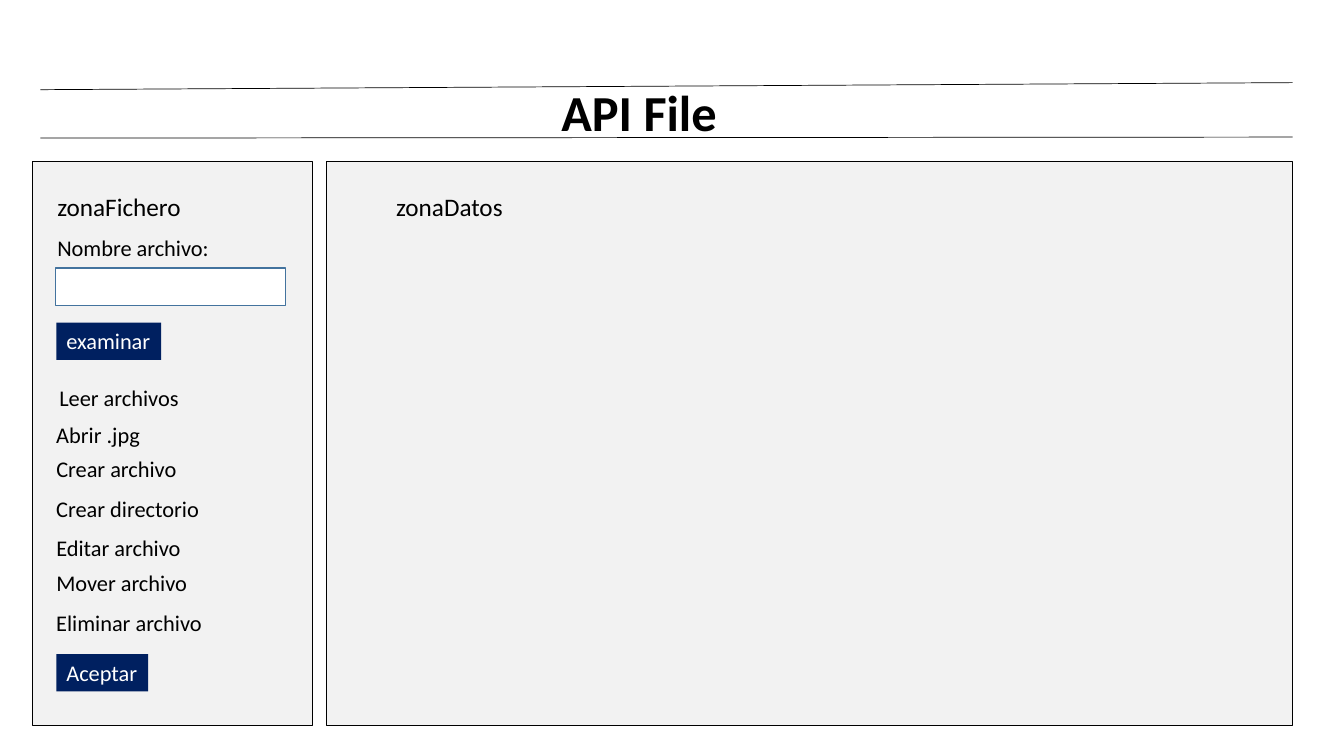
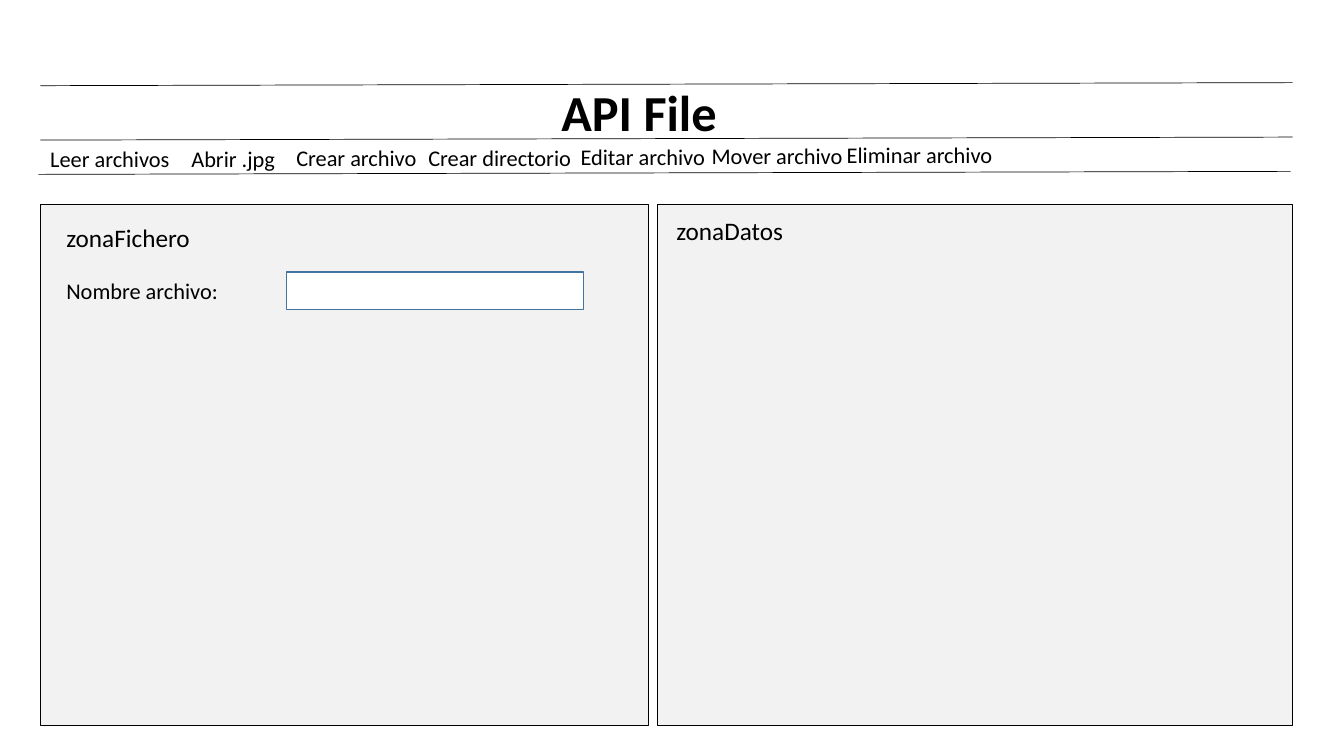
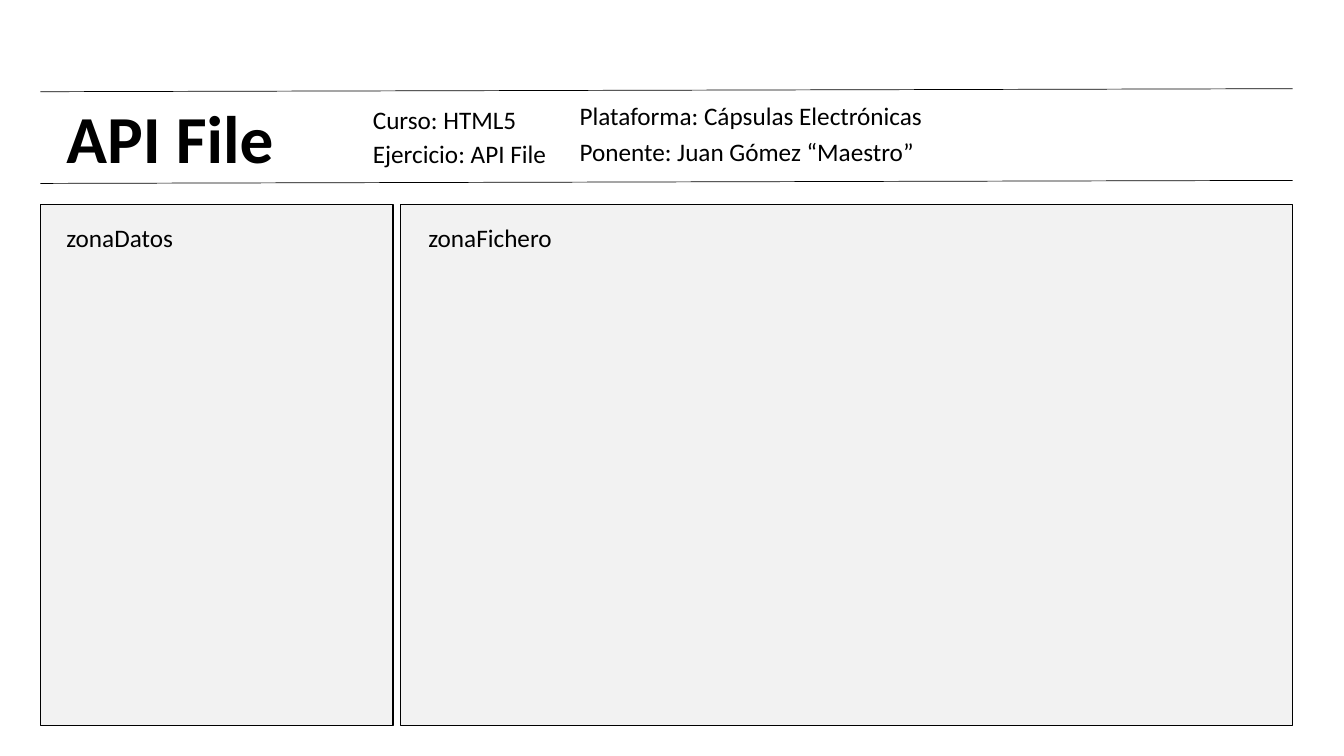
import pptx
import pptx.util
import pptx.dml.color
import pptx.enum.shapes
import pptx.enum.text
import pptx.oxml
from dataclasses import dataclass


@dataclass(frozen=True)
class Theme:
    """Colours, font and type sizes shared by all slides."""
    font: str = "Calibri"
    ink: str = "000000"
    panel: str = "F2F2F2"
    white: str = "FFFFFF"
    button: str = "002060"
    field_line: str = "43739E"
    title: int = 36
    big_title: int = 48
    zone: int = 18
    label: int = 16
    border: float = 1
    rule: float = 0.5


T = Theme()
Inches = pptx.util.Inches
LEFT, RIGHT, BOTTOM = 0.4, 12.82, 7.2
HEIGHTS = {T.label: 0.37, T.zone: 0.4, T.title: 0.71, T.big_title: 0.91}

TITLE = "API File"
NAME_LABEL = "Nombre archivo:"
ZONES = {"zonaFichero": 1.44, "zonaDatos": 1.27}
ACTIONS = {
    "Leer archivos": 1.4,
    "Abrir .jpg": 1.04,
    "Crear archivo": 1.41,
    "Crear directorio": 1.64,
    "Editar archivo": 1.45,
    "Mover archivo": 1.52,
    "Eliminar archivo": 1.66,
}

# Rules: x start, y start, y end.  Panels: left, top, right.
# Titles: left, top, width, size.  Zones: name, left, top.
# Actions: left, top for each entry of ACTIONS, in order.
# Labels: left, top of the file name label.  Fields: left, top, width.
# Buttons: text, left, top, width.  Credits: text, left, top, width, wrap.
SLIDES = [
    {
        "rules": [(LEFT, 0.89, 0.82), (LEFT, 1.37, 1.36)],
        "panels": [(0.32, 1.6, 3.1), (3.24, 1.6, RIGHT)],
        "titles": [(5.47, 0.76, 1.76, T.title)],
        "zones": [("zonaDatos", 3.83, 1.85), ("zonaFichero", 0.47, 1.85)],
        "actions": [(0.49, 3.76), (0.46, 4.13), (0.46, 4.47), (0.46, 4.86),
                    (0.46, 5.25), (0.46, 5.6), (0.46, 5.99)],
        "labels": [(0.47, 2.27)],
        "fields": [(0.55, 2.66, 2.28)],
        "buttons": [("examinar", 0.56, 3.2, 1.04),
                    ("Aceptar", 0.56, 6.49, 0.91)],
    },
    {
        "rules": [(LEFT, 0.85, 0.82), (LEFT, 1.39, 1.36), (0.38, 1.73, 1.7)],
        "panels": [(LEFT, 2.03, 6.43), (6.52, 2.03, RIGHT)],
        "titles": [(5.47, 0.76, 1.76, T.title)],
        "zones": [("zonaDatos", 6.61, 2.09), ("zonaFichero", 0.56, 2.16)],
        "actions": [(0.4, 1.39), (1.8, 1.39), (2.84, 1.38), (4.15, 1.38),
                    (5.66, 1.37), (6.96, 1.36), (8.3, 1.35)],
        "labels": [(0.56, 2.7)],
        "fields": [(2.84, 2.7, 2.95)],
    },
    {
        "rules": [(LEFT, 0.91, 0.88), (LEFT, 1.82, 1.79)],
        "panels": [(LEFT, 2.03, 3.9), (3.97, 2.03, RIGHT)],
        "titles": [(0.56, 0.91, 2.28, T.big_title)],
        "zones": [("zonaFichero", 4.15, 2.16), ("zonaDatos", 0.56, 2.16)],
        "credits": [
            ("Curso: HTML5", 3.6, 0.99, 1.64, False),
            ("Plataforma: Cápsulas Electrónicas", 5.65, 0.95, 3.72, True),
            ("Ponente: Juan Gómez “Maestro”", 5.65, 1.3, 5.75, True),
            ("Ejercicio: API File", 3.6, 1.32, 2.78, True),
        ],
    },
]


def rgb(color):
    """Turn a hex string into a colour object."""
    return pptx.dml.color.RGBColor.from_string(color)


def add_rule(slide, left, y_start, y_end):
    """Draw a thin line across the slide."""
    c = slide.shapes.add_connector(
        pptx.enum.shapes.MSO_CONNECTOR.STRAIGHT, Inches(left), Inches(y_start),
        Inches(left + RIGHT - LEFT), Inches(y_end))
    c.line.color.rgb = rgb(T.ink)
    c.line.width = pptx.util.Pt(T.rule)
    c._element.spPr.append(pptx.oxml.parse_xml(
        '<a:effectLst xmlns:a='
        '"http://schemas.openxmlformats.org/drawingml/2006/main"/>'))


def add_box(slide, left, top, width, height, fill, line=None):
    """Draw a filled rectangle, outlined if a line colour is given."""
    sp = slide.shapes.add_shape(
        pptx.enum.shapes.MSO_SHAPE.RECTANGLE,
        Inches(left), Inches(top), Inches(width), Inches(height))
    sp.shadow.inherit = False
    sp.fill.solid()
    sp.fill.fore_color.rgb = rgb(fill)
    if line:
        sp.line.color.rgb = rgb(line)
        sp.line.width = pptx.util.Pt(T.border)
    else:
        sp.line.fill.background()
    return sp


def write(sp, text, size, color=T.ink, bold=False, wrap=False):
    """Put one left-aligned line of text in a shape."""
    tf = sp.text_frame
    tf.text = text
    tf.word_wrap = wrap
    tf.auto_size = pptx.enum.text.MSO_AUTO_SIZE.SHAPE_TO_FIT_TEXT
    tf.vertical_anchor = pptx.enum.text.MSO_ANCHOR.TOP
    p = tf.paragraphs[0]
    p.alignment = pptx.enum.text.PP_ALIGN.LEFT
    font = p.runs[0].font
    font.name, font.size, font.bold = T.font, pptx.util.Pt(size), bold
    font.color.rgb = rgb(color)


def add_text(slide, text, left, top, width, size, bold=False, wrap=False):
    """Add a text box as high as its type size needs."""
    sp = slide.shapes.add_textbox(
        Inches(left), Inches(top), Inches(width), Inches(HEIGHTS[size]))
    write(sp, text, size, bold=bold, wrap=wrap)


def build_slide(prs, content):
    """Build one screen layout from its content."""
    slide = prs.slides.add_slide(prs.slide_layouts[6])
    for left, top, right in content["panels"]:
        add_box(slide, left, top, right - left, BOTTOM - top, T.panel, T.ink)
    for rule in content["rules"]:
        add_rule(slide, *rule)
    for left, top, width, size in content["titles"]:
        add_text(slide, TITLE, left, top, width, size, bold=True)
    for name, left, top in content["zones"]:
        add_text(slide, name, left, top, ZONES[name], T.zone)
    for (name, width), (left, top) in zip(ACTIONS.items(),
                                          content.get("actions", [])):
        add_text(slide, name, left, top, width, T.label)
    for left, top in content.get("labels", []):
        add_text(slide, NAME_LABEL, left, top, 1.73, T.label)
    for left, top, width in content.get("fields", []):
        add_box(slide, left, top, width, HEIGHTS[T.label], T.white,
                T.field_line)
    for text, left, top, width in content.get("buttons", []):
        sp = add_box(slide, left, top, width, HEIGHTS[T.label], T.button)
        write(sp, text, T.label, T.white)
    for text, left, top, width, wrap in content.get("credits", []):
        add_text(slide, text, left, top, width, T.zone, wrap=wrap)


prs = pptx.Presentation()
prs.slide_width, prs.slide_height = Inches(13.33), Inches(7.5)
for content in SLIDES:
    build_slide(prs, content)
prs.save("out.pptx")
